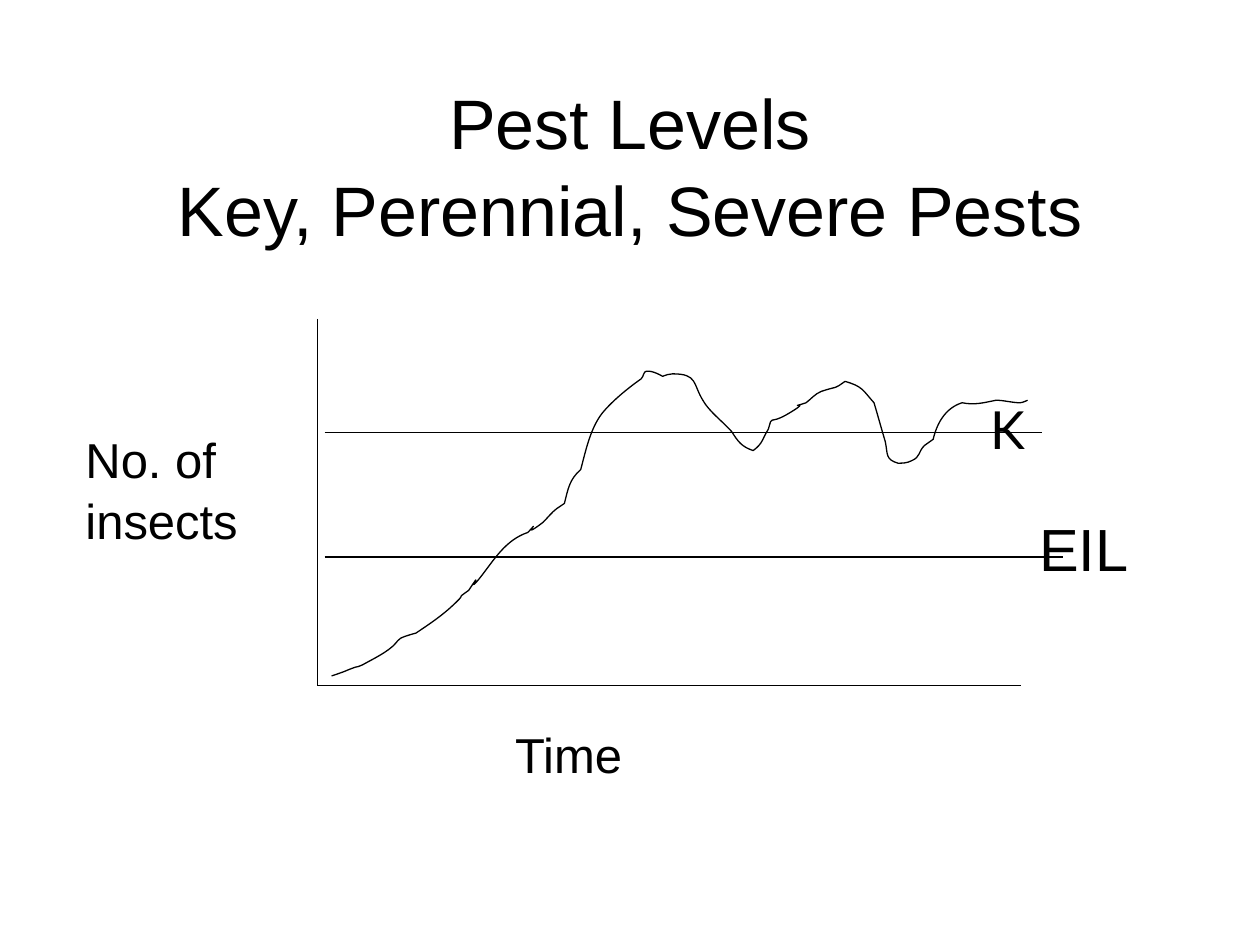
from collections import namedtuple

from lxml.etree import SubElement
from pptx import Presentation
from pptx.dml.color import RGBColor
from pptx.enum.shapes import MSO_CONNECTOR as Connector
from pptx.enum.text import MSO_ANCHOR as Anchor, MSO_AUTO_SIZE as AutoSize, PP_ALIGN as Align
from pptx.oxml.ns import qn
from pptx.util import Inches, Pt

BLACK = RGBColor(0, 0, 0)
WHITE = RGBColor(255, 255, 255)
LINE_WIDTH = Pt(0.75)
LINE_SPACING = 1.04

Box = namedtuple("Box", "left top width height")

# Population curve on a 553 x 243 grid: each row holds two handles and an end point
CURVE_COLUMNS = 553
CURVE_START = (0, 243)
CURVE = [
    (15, 238, 8, 240, 19, 236), (21, 236, 25, 234, 25, 234),
    (32, 230, 45, 224, 51, 217), (52, 216, 53, 214, 55, 213),
    (59, 211, 67, 209, 67, 209), (76, 203, 85, 197, 93, 190),
    (112, 173, 95, 185, 109, 175), (123, 154, 105, 181, 118, 165),
    (129, 151, 138, 135, 156, 129), (169, 115, 147, 137, 168, 121),
    (172, 117, 175, 113, 179, 110), (181, 109, 183, 107, 185, 106),
    (188, 94, 189, 87, 198, 79), (202, 64, 206, 44, 217, 32),
    (225, 23, 236, 14, 246, 7), (248, 5, 248, 1, 250, 1),
    (255, 0, 263, 5, 263, 5), (266, 4, 268, 3, 271, 3),
    (291, 3, 287, 11, 295, 24), (300, 33, 311, 41, 318, 49),
    (323, 57, 326, 61, 335, 64), (343, 58, 342, 55, 347, 47),
    (351, 34, 346, 45, 364, 34), (384, 22, 359, 32, 377, 26),
    (381, 23, 384, 19, 389, 17), (404, 12, 398, 16, 408, 9),
    (422, 13, 422, 16, 431, 26), (434, 36, 437, 47, 440, 57),
    (442, 67, 440, 71, 450, 74), (454, 74, 457, 74, 461, 72),
    (468, 69, 466, 65, 471, 60), (473, 58, 476, 57, 478, 55),
    (481, 42, 488, 30, 501, 26), (511, 28, 518, 26, 528, 24),
    (534, 24, 541, 26, 547, 26), (549, 26, 553, 24, 553, 24),
]


def inch_box(left, top, width, height):
    return Box(*(Inches(length) for length in (left, top, width, height)))


def format_text(para, size, font="Arial"):
    para.font.size = Pt(size)
    para.font.name = font
    para.font.color.rgb = BLACK
    para.line_spacing = LINE_SPACING


def add_title(page, box, text):
    title = page.shapes.title
    title.left, title.top, title.width, title.height = box
    frame = title.text_frame
    frame.text = text
    frame.auto_size = AutoSize.NONE
    frame.vertical_anchor = Anchor.MIDDLE
    para = frame.paragraphs[0]
    para.alignment = Align.CENTER
    format_text(para, 40)


def add_label(page, box, text, size, font="Arial", wrap=False):
    frame = page.shapes.add_textbox(*box).text_frame
    frame.word_wrap = wrap
    frame.auto_size = AutoSize.SHAPE_TO_FIT_TEXT
    frame.text = text
    format_text(frame.paragraphs[0], size, font)


def add_rule(page, box, start, end):
    """Draw a straight line between two points given as shares of the box."""
    (x1, y1), (x2, y2) = [
        (round(box.left + x * box.width), round(box.top + y * box.height))
        for x, y in (start, end)
    ]
    rule = page.shapes.add_connector(Connector.STRAIGHT, x1, y1, x2, y2)
    rule.line.color.rgb = BLACK
    rule.line.width = LINE_WIDTH
    SubElement(rule._element.spPr, qn("a:effectLst"))


def add_curve(page, box):
    points = [pair for row in CURVE for pair in zip(row[::2], row[1::2])]
    builder = page.shapes.build_freeform(*CURVE_START, scale=box.width / CURVE_COLUMNS)
    builder.add_line_segments(points, close=False)
    curve = builder.convert_to_shape(box.left, box.top)
    curve.fill.background()
    curve.line.color.rgb = BLACK
    curve.line.width = LINE_WIDTH
    curve.shadow.inherit = False
    # Join every three points into one Bezier segment
    outline = next(curve._element.iter(qn("a:path")))
    segments = outline.findall(qn("a:lnTo"))
    for first in range(0, len(segments), 3):
        bezier = SubElement(outline, qn("a:cubicBezTo"))
        for segment in segments[first:first + 3]:
            bezier.append(segment[0])
            outline.remove(segment)


def add_plot(page, box):
    # Axes
    add_rule(page, box, (0, 0), (0, 1))
    add_rule(page, box, (0, 1), (1, 1))
    # Carrying capacity and economic injury level
    add_rule(page, box, (0.01, 0.31), (1.03, 0.31))
    add_rule(page, box, (0.01, 0.65), (1.06, 0.65))
    # Insect numbers over time
    add_curve(page, Box(
        round(box.left + 0.02 * box.width), round(box.top + 0.14 * box.height),
        round(0.99 * box.width), round(0.84 * box.height)))


def main():
    deck = Presentation()
    deck.slide_width, deck.slide_height = Inches(10), Inches(7.5)
    page = deck.slides.add_slide(deck.slide_layouts[5])
    page.background.fill.solid()
    page.background.fill.fore_color.rgb = WHITE

    add_title(page, inch_box(0.75, 0.67, 8.5, 1.25),
              "Pest Levels\vKey, Perennial, Severe Pests")
    add_plot(page, inch_box(2.52, 2.53, 5.58, 2.91))

    # Axis and level labels
    add_label(page, inch_box(0.58, 3.34, 1.6, 1.04), "No. of insects", 28, wrap=True)
    add_label(page, inch_box(3.99, 5.68, 1.06, 0.57), "Time", 28)
    add_label(page, inch_box(7.76, 3.08, 0.46, 0.6), "K", 30, font="Lato")
    add_label(page, inch_box(8.15, 3.99, 0.91, 0.67), "EIL", 34)

    deck.save("out.pptx")


if __name__ == "__main__":
    main()
